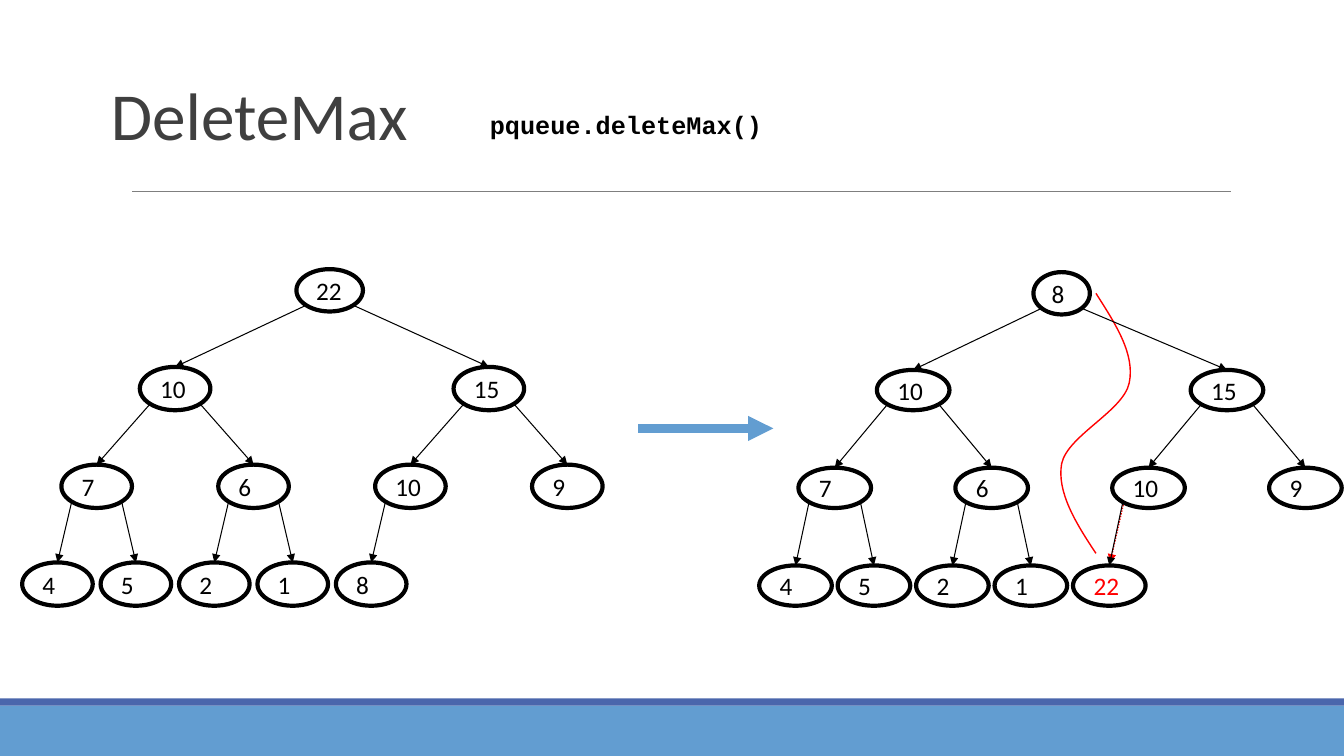
from dataclasses import dataclass
from math import sqrt
from typing import Any

import pptx
import pptx.dml.color
import pptx.enum.dml
import pptx.enum.shapes
import pptx.enum.text
import pptx.oxml
import pptx.oxml.ns
import pptx.util

Inches = pptx.util.Inches
ANCHOR = pptx.enum.text.MSO_ANCHOR
AUTO_SIZE = pptx.enum.text.MSO_AUTO_SIZE
SHAPE = pptx.enum.shapes.MSO_SHAPE
Point = tuple[float, float]


@dataclass(frozen=True)
class Theme:
    ink: str = "000000"
    heading: str = "3F3F3F"
    rule: str = "7F7F7F"
    sky: str = "629DD1"
    indigo: str = "4A66AC"
    swap: str = "FF0000"
    sans: str = "Calibri"
    mono: str = "Courier New"
    heading_size: float = 48
    label_size: float = 18
    thin: float = 0.75
    swap_line: float = 1
    node_line: float = 3
    step_line: float = 6


@dataclass(frozen=True)
class Heap:
    values: tuple[int, ...]     # in level order
    leaf_x: float               # centre of the leftmost leaf
    root_x: float
    top: float
    root_size: Point
    node_size: Point
    swapped: int | None = None  # index of the value drawn in the swap colour


@dataclass(frozen=True)
class Node:
    x: float
    top: float
    width: float
    height: float

    def lower_corner(self, side: int) -> Point:
        reach = sqrt(2) / 4
        return (self.x + side * self.width * reach,
                self.top + self.height * (0.5 + reach))


THEME = Theme()
LEAF_PITCH = 0.778
LEVEL_PITCH = 0.97
BEFORE = Heap((22, 10, 15, 7, 6, 10, 9, 4, 5, 2, 1, 8), 0.57, 3.27, 2.67,
              (0.66, 0.42), (0.7, 0.43))
AFTER = Heap((8, 10, 15, 7, 6, 10, 9, 4, 5, 2, 1, 22), 7.89, 10.53, 2.7,
             (0.56, 0.42), (0.72, 0.4), swapped=11)
# Start of the swap curve, then three control points per Bézier segment
SWAP_CURVE: tuple[Point, ...] = (
    (10.87, 5.49),
    (10.67, 5.19), (10.48, 4.88), (10.53, 4.6),
    (10.59, 4.32), (11.14, 4.08), (11.2, 3.8),
    (11.26, 3.51), (11.06, 3.21), (10.87, 2.91))


def rgb(colour: str) -> Any:
    return pptx.dml.color.RGBColor.from_string(colour)


def assign(target: Any, formats: dict[str, Any]) -> None:
    for attribute, value in formats.items():
        setattr(target, attribute, value)


def write(frame: Any, text: str, colour: str, size: float, font: str,
          bold: bool = False, **frame_formats: Any) -> None:
    assign(frame, frame_formats)
    paragraph = frame.paragraphs[0]
    paragraph.alignment = pptx.enum.text.PP_ALIGN.LEFT
    run = paragraph.add_run()
    run.text = text
    assign(run.font, {"name": font, "size": pptx.util.Pt(size), "bold": bold})
    run.font.color.rgb = rgb(colour)


def style_line(line: Any, colour: str, width: float) -> None:
    line.color.rgb = rgb(colour)
    line.width = pptx.util.Pt(width)


def draw_line(shapes: Any, start: Point, end: Point, colour: str, width: float,
              arrow: bool = True, dotted: bool = False) -> None:
    connector = shapes.add_connector(
        pptx.enum.shapes.MSO_CONNECTOR.STRAIGHT,
        *(Inches(length) for length in start + end))
    style_line(connector.line, colour, width)
    if dotted:
        connector.line.dash_style = pptx.enum.dml.MSO_LINE.ROUND_DOT
    properties = connector._element.spPr
    if arrow:
        head = pptx.oxml.parse_xml(
            f'<a:tailEnd {pptx.oxml.ns.nsdecls("a")} type="triangle"/>')
        connector.line._get_or_add_ln().append(head)
    properties.append(pptx.oxml.parse_xml(
        f'<a:effectLst {pptx.oxml.ns.nsdecls("a")}/>'))


def draw_band(shapes: Any, top: float, height: float, colour: str) -> None:
    band = shapes.add_shape(SHAPE.RECTANGLE, 0, Inches(top),
                            Inches(13.33), Inches(height))
    band.shadow.inherit = False
    band.fill.solid()
    band.fill.fore_color.rgb = rgb(colour)
    band.line.fill.background()


def place_nodes(heap: Heap) -> list[Node]:
    nodes = []
    for index in range(len(heap.values)):
        level = (index + 1).bit_length() - 1
        span = 2 ** (3 - level)     # leaf slots below this node
        slot = index + 1 - 2 ** level
        x = heap.leaf_x + LEAF_PITCH * (slot * span + (span - 1) / 2)
        size = heap.node_size if index else heap.root_size
        nodes.append(Node(x if index else heap.root_x,
                          heap.top + level * LEVEL_PITCH, *size))
    return nodes


def draw_heap(shapes: Any, heap: Heap) -> None:
    nodes = place_nodes(heap)
    for index, (node, value) in enumerate(zip(nodes, heap.values)):
        oval = shapes.add_shape(
            SHAPE.OVAL, Inches(node.x - node.width / 2), Inches(node.top),
            Inches(node.width), Inches(node.height))
        oval.shadow.inherit = False
        oval.fill.background()
        style_line(oval.line, THEME.ink, THEME.node_line)
        colour = THEME.swap if index == heap.swapped else THEME.ink
        write(oval.text_frame, str(value), colour, THEME.label_size, THEME.sans,
              word_wrap=True, vertical_anchor=ANCHOR.MIDDLE)
    for index, child in enumerate(nodes[1:], start=1):
        side = -1 if index % 2 else 1
        draw_line(shapes, nodes[(index - 1) // 2].lower_corner(side),
                  (child.x, child.top), THEME.ink, THEME.thin)


def draw_curve(shapes: Any, points: tuple[Point, ...]) -> None:
    start, *controls = [(Inches(x), Inches(y)) for x, y in points]
    builder = shapes.build_freeform(*start)
    builder.add_line_segments(controls, close=False)
    curve = builder.convert_to_shape()
    curve.shadow.inherit = False
    curve.fill.background()
    style_line(curve.line, THEME.swap, THEME.swap_line)
    # Turn each run of three straight segments into one cubic segment
    segments = curve._element.findall(".//" + pptx.oxml.ns.qn("a:lnTo"))
    for first in range(0, len(segments), 3):
        cubic = pptx.oxml.parse_xml(
            f'<a:cubicBezTo {pptx.oxml.ns.nsdecls("a")}/>')
        segments[first].addprevious(cubic)
        for segment in segments[first:first + 3]:
            cubic.append(segment[0])
            segment.getparent().remove(segment)


def main() -> None:
    presentation = pptx.Presentation()
    assign(presentation, {"slide_width": Inches(13.33), "slide_height": Inches(7.5)})
    slide = presentation.slides.add_slide(presentation.slide_layouts[5])
    shapes = slide.shapes

    # Footer bands and title rule
    draw_band(shapes, 7, 0.5, THEME.sky)
    draw_band(shapes, 6.93, 0.07, THEME.indigo)
    draw_line(shapes, (1.31, 1.9), (12.21, 1.9), THEME.rule, THEME.thin, arrow=False)

    # Title and the call it explains
    heading = shapes.title
    assign(heading, {"left": Inches(1), "top": Inches(0.33),
                     "width": Inches(11.33), "height": Inches(1.25)})
    write(heading.text_frame, "DeleteMax", THEME.heading, THEME.heading_size,
          THEME.sans, vertical_anchor=ANCHOR.BOTTOM, auto_size=AUTO_SIZE.NONE)
    heading.text_frame.paragraphs[0].line_spacing = 0.85
    call = shapes.add_textbox(Inches(4.76), Inches(1.04), Inches(2.92), Inches(0.4))
    write(call.text_frame, "pqueue.deleteMax()", THEME.ink, THEME.label_size,
          THEME.mono, bold=True, word_wrap=True, auto_size=AUTO_SIZE.SHAPE_TO_FIT_TEXT)

    # Heap before, step arrow, heap after with the swap marked
    draw_heap(shapes.add_group_shape().shapes, BEFORE)
    draw_line(shapes, (6.33, 4.25), (7.67, 4.25), THEME.sky, THEME.step_line)
    after = shapes.add_group_shape().shapes
    draw_line(after, (11.14, 5.01), (11.01, 5.58), THEME.swap, THEME.swap_line,
              dotted=True)
    draw_curve(after, SWAP_CURVE)
    draw_heap(after, AFTER)

    presentation.save("out.pptx")


if __name__ == "__main__":
    main()
